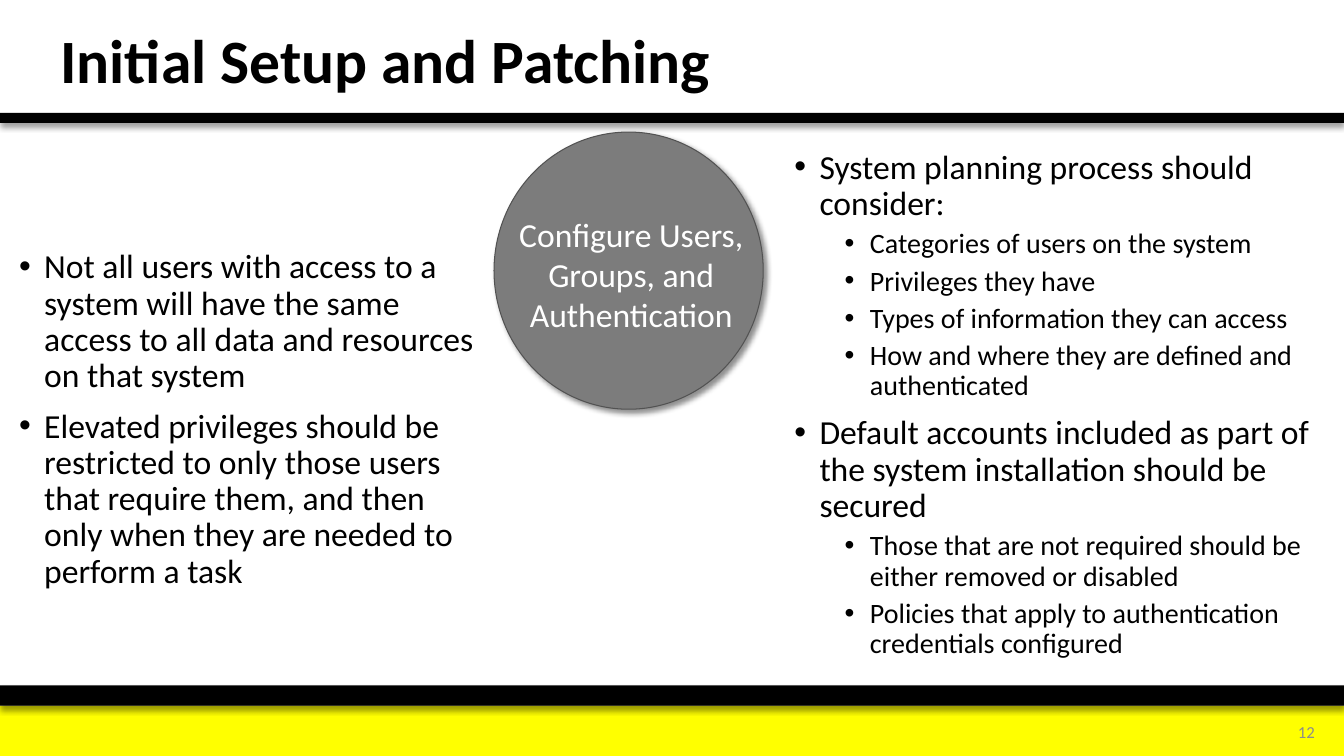
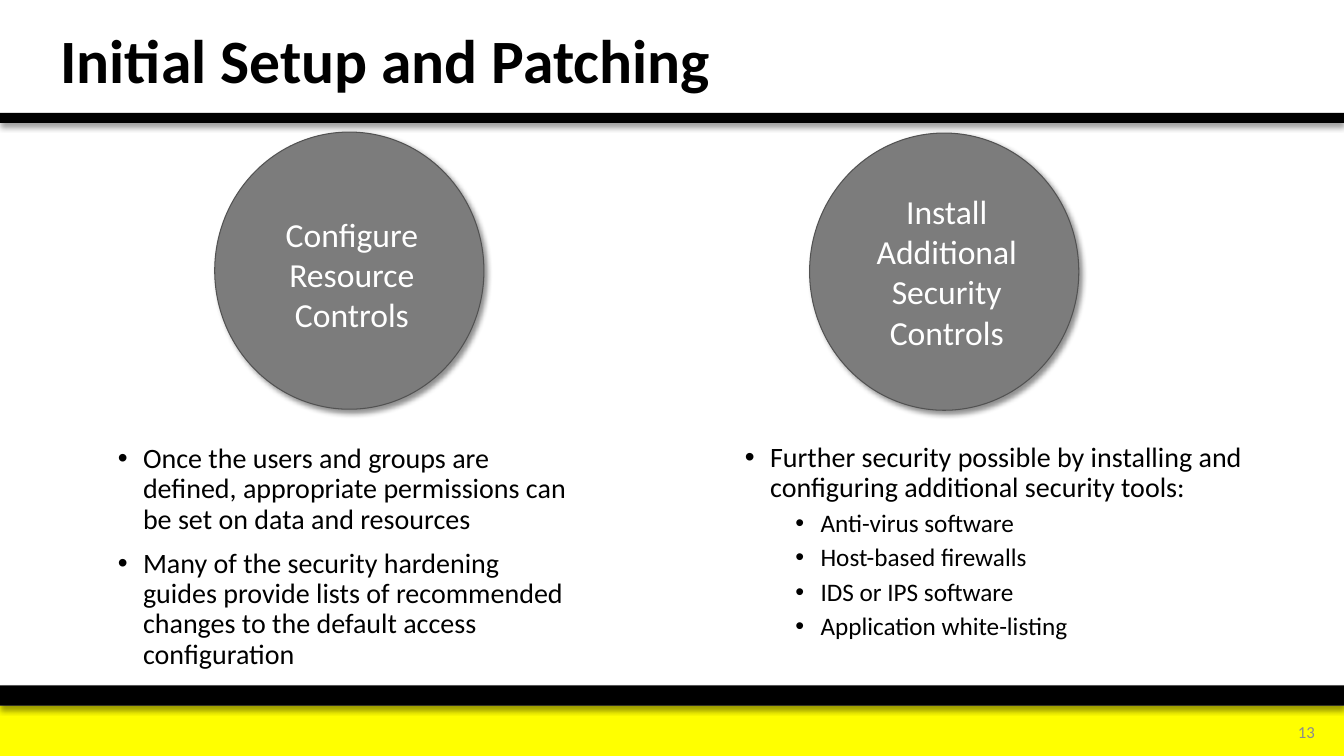
from lxml.etree import SubElement
from pptx import Presentation
from pptx.dml.color import RGBColor
from pptx.enum.shapes import MSO_SHAPE
from pptx.enum.text import MSO_ANCHOR, MSO_AUTO_SIZE, PP_ALIGN
from pptx.oxml.ns import qn
from pptx.util import Inches, Pt

BLACK = RGBColor(0x00, 0x00, 0x00)
WHITE = RGBColor(0xFF, 0xFF, 0xFF)
YELLOW = RGBColor(0xFF, 0xFF, 0x00)
GRAY = RGBColor(0x7C, 0x7C, 0x7C)
DARK_GRAY = RGBColor(0x52, 0x52, 0x52)
NUMBER_GRAY = RGBColor(0x8C, 0x8C, 0x8C)

FONT = "Calibri"
WIDTH, HEIGHT = 13.33, 7.5
TITLE_ONLY = 5


class Deck:
    """Holds the shared style and the slide being built."""

    def __init__(self):
        self.prs = Presentation()
        self.prs.slide_width = Inches(WIDTH)
        self.prs.slide_height = Inches(HEIGHT)
        self.slide = None

    def add_slide(self, title, number):
        self.slide = self.prs.slides.add_slide(self.prs.slide_layouts[TITLE_ONLY])
        # Footer and title bands
        self.shape(MSO_SHAPE.RECTANGLE, 0, 7, WIDTH, 0.5, YELLOW)
        for y, h in ((6.8, 0.2), (1.12, 0.1)):
            band = self.shape(MSO_SHAPE.RECTANGLE, 0, y, WIDTH, h, BLACK)
            self.shadow(band, alpha=40, angle=90)
        # Title
        sp = self.slide.shapes.title
        sp.left, sp.top = Inches(0.5), Inches(0.07)
        sp.width, sp.height = Inches(10.47), Inches(1.12)
        tf = sp.text_frame
        tf.text = title
        tf.auto_size = MSO_AUTO_SIZE.NONE
        tf.vertical_anchor = MSO_ANCHOR.MIDDLE
        p = tf.paragraphs[0]
        p.line_spacing = 0.9
        self.format(p, 44, BLACK, PP_ALIGN.LEFT, bold=True)
        # Slide number
        tf = self.text(12.38, 7.06, 0.76, 0.4, [str(number)], 12, NUMBER_GRAY, PP_ALIGN.RIGHT)
        tf.vertical_anchor = MSO_ANCHOR.MIDDLE

    def format(self, p, size, color, align, bold=False):
        p.alignment = align
        for r in p.runs:
            r.font.name = FONT
            r.font.size = Pt(size)
            r.font.bold = bold
            r.font.color.rgb = color

    def shape(self, kind, x, y, w, h, fill):
        sp = self.slide.shapes.add_shape(kind, Inches(x), Inches(y), Inches(w), Inches(h))
        sp.shadow.inherit = False
        sp.fill.solid()
        sp.fill.fore_color.rgb = fill
        sp.line.fill.background()
        return sp

    def shadow(self, sp, alpha, angle):
        effects = sp.element.spPr.find(qn("a:effectLst"))
        outer = SubElement(effects, qn("a:outerShdw"), blurRad=str(Pt(4)), dist=str(Pt(3)),
                           dir=str(angle * 60000), algn="ctr", rotWithShape="0")
        color = SubElement(outer, qn("a:srgbClr"), val=str(BLACK))
        SubElement(color, qn("a:alpha"), val=str(alpha * 1000))

    def text(self, x, y, w, h, lines, size, color, align=PP_ALIGN.LEFT):
        box = self.slide.shapes.add_textbox(Inches(x), Inches(y), Inches(w), Inches(h))
        tf = box.text_frame
        tf.word_wrap = True
        tf.text = "\n".join(lines)
        for p in tf.paragraphs:
            self.format(p, size, color, align)
        return tf

    def bullets(self, x, y, w, h, items, sizes):
        """Items are (level, text) pairs; sizes lists the size of each level."""
        tf = self.text(x, y, w, h, [text for _, text in items], sizes[0], BLACK)
        for p, (level, _) in zip(tf.paragraphs, items):
            p.level = level
            p.line_spacing = 0.9
            p.space_before = Pt(5 if level else 10)
            self.format(p, sizes[level], BLACK, PP_ALIGN.LEFT)
            pPr = p._p.get_or_add_pPr()
            pPr.set("marL", str(Inches(0.25 + 0.5 * level)))
            pPr.set("indent", str(Inches(-0.25)))
            SubElement(pPr, qn("a:buFont"), typeface="Arial")
            SubElement(pPr, qn("a:buChar"), char="•")

    def circle(self, x, y, label_y, label_h, lines):
        sp = self.shape(MSO_SHAPE.OVAL, x, y, 2.67, 2.75, GRAY)
        sp.line.color.rgb = DARK_GRAY
        sp.line.width = Pt(0.75)
        self.shadow(sp, alpha=43, angle=45)
        self.text(x + 0.07, label_y, 2.58, label_h, lines, 24, WHITE, PP_ALIGN.CENTER)


def main():
    deck = Deck()

    # Users, groups and authentication
    deck.add_slide("Initial Setup and Patching", 12)
    deck.bullets(0.09, 2.43, 4.78, 4.22, [
        (0, "Not all users with access to a system will have the same access "
            "to all data and resources on that system"),
        (0, "Elevated privileges should be restricted to only those users that require them, "
            "and then only when they are needed to perform a task"),
    ], (24, 20))
    deck.bullets(7.78, 1.44, 5.46, 5.21, [
        (0, "System planning process should consider:"),
        (1, "Categories of users on the system"),
        (1, "Privileges they have"),
        (1, "Types of information they can access"),
        (1, "How and where they are defined and authenticated"),
        (0, "Default accounts included as part of the system installation should be secured"),
        (1, "Those that are not required should be either removed or disabled"),
        (1, "Policies that apply to authentication credentials configured"),
    ], (24, 20))
    deck.circle(4.9, 1.31, 2.07, 1.72, ["Configure Users, Groups, and Authentication"])

    # Resource controls and additional security controls
    deck.add_slide("Initial Setup and Patching", 13)
    deck.bullets(1.07, 4.36, 4.78, 2.37, [
        (0, "Once the users and groups are defined, appropriate permissions "
            "can be set on data and resources"),
        (0, "Many of the security hardening guides provide lists of recommended changes "
            "to the default access configuration"),
    ], (20, 18))
    deck.bullets(7.29, 4.35, 5.46, 2.07, [
        (0, "Further security possible by installing and configuring additional security tools:"),
        (1, "Anti-virus software"),
        (1, "Host-based firewalls"),
        (1, "IDS or IPS software"),
        (1, "Application white-listing"),
    ], (20, 18))
    deck.circle(2.13, 1.31, 2.07, 1.31, ["Configure Resource Controls"])
    deck.circle(8.03, 1.32, 1.84, 1.72, ["Install", "Additional Security", "Controls"])

    deck.prs.save("out.pptx")


if __name__ == "__main__":
    main()
